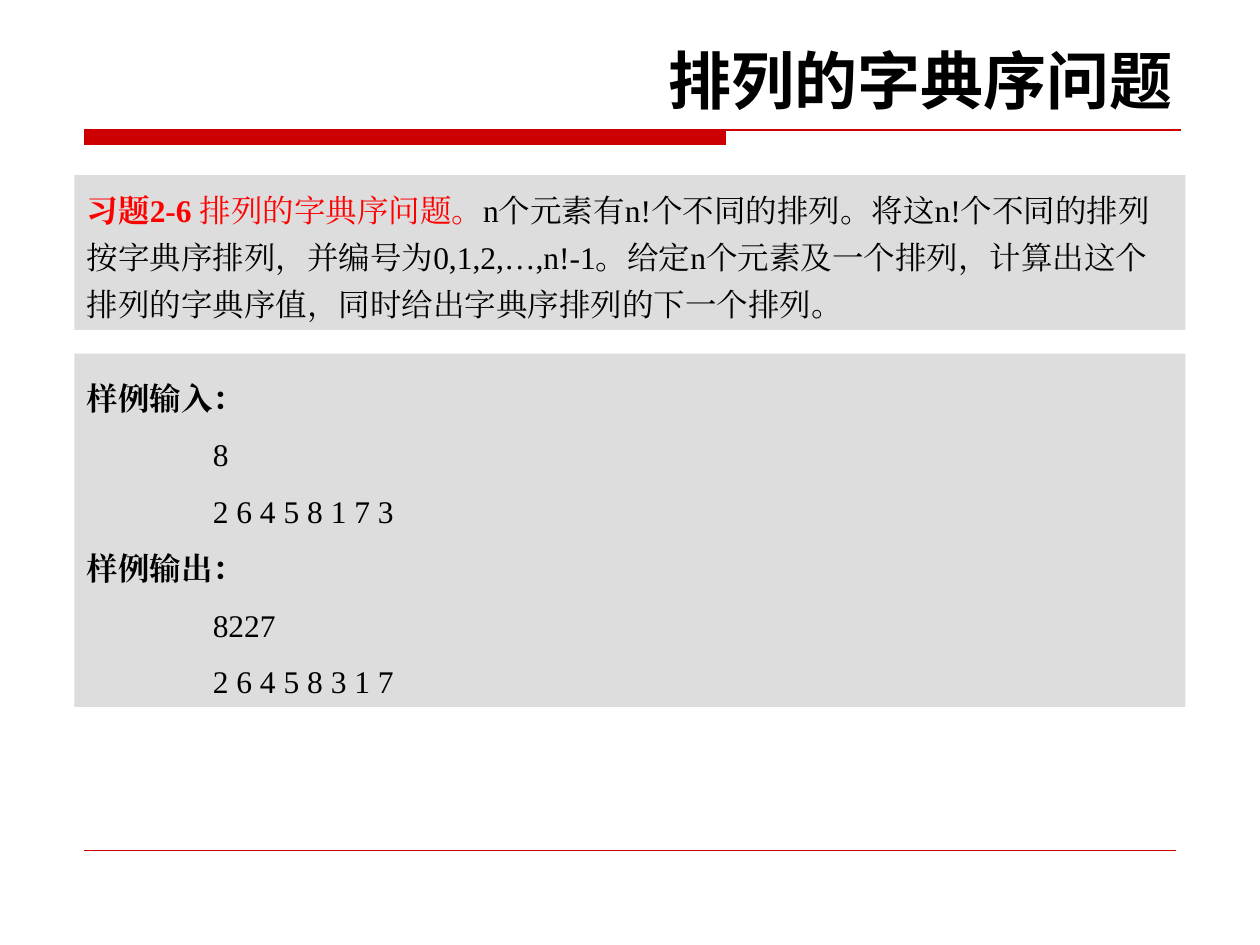
from lxml.etree import SubElement
from pptx import Presentation
from pptx.dml.color import RGBColor
from pptx.enum.shapes import MSO_CONNECTOR, MSO_SHAPE
from pptx.enum.text import MSO_ANCHOR, PP_ALIGN
from pptx.oxml.ns import qn
from pptx.util import Cm, Pt

# Content: each paragraph is a list of (text, bold, colour) runs
BLACK, RED, RULE, PANEL = "000000", "FF0000", "CC0000", "DDDDDD"
TITLE = "排列的字典序问题"
PROBLEM = [[
    ("习题2-6 ", True, RED),
    ("排列的字典序问题。", False, RED),
    ("n个元素有n!个不同的排列。将这n!个不同的排列按字典序排列，"
     "并编号为0,1,2,…,n!-1。给定n个元素及一个排列，"
     "计算出这个排列的字典序值，同时给出字典序排列的下一个排列。", False, BLACK),
]]
SAMPLES = [
    ("样例输入：", ["8", "2 6 4 5 8 1 7 3"]),
    ("样例输出：", ["8227", "2 6 4 5 8 3 1 7"]),
]
BODY_FONT, TITLE_FONT = "Times New Roman", "DejaVu Sans"
TAB = Cm(2.54)

# Layout in cm
PANEL_LEFT, PANEL_WIDTH = 1.5, 22.4
RULE_LEFT, RULE_TOP, RULE_RIGHT = 1.7, 2.62, 23.8
BAR_RIGHT, BAR_BOTTOM = 14.63, 2.92
FOOTER_TOP, FOOTER_RIGHT = 17.15, 23.7


def rgb(colour):
    return RGBColor.from_string(colour)


def add_run(paragraph, text, bold, colour, size, typeface):
    run = paragraph.add_run()
    run.text = text
    font = run.font
    font.size, font.bold, font.name = Pt(size), bold, typeface
    font.color.rgb = rgb(colour)
    SubElement(font._element, qn("a:ea"), typeface=typeface)


def add_panel(slide, top, height, paragraphs, spacing):
    panel = slide.shapes.add_shape(
        MSO_SHAPE.RECTANGLE, Cm(PANEL_LEFT), Cm(top), Cm(PANEL_WIDTH), Cm(height))
    panel.shadow.inherit = False
    panel.fill.solid()
    panel.fill.fore_color.rgb = rgb(PANEL)
    panel.line.fill.background()
    frame = panel.text_frame
    frame.word_wrap = True
    frame.vertical_anchor = MSO_ANCHOR.TOP
    for index, runs in enumerate(paragraphs):
        paragraph = frame.add_paragraph() if index else frame.paragraphs[0]
        paragraph.alignment = PP_ALIGN.LEFT
        paragraph.line_spacing = spacing
        tabs = SubElement(paragraph._p.get_or_add_pPr(), qn("a:tabLst"))
        SubElement(tabs, qn("a:tab"), pos=str(TAB), algn="l")
        for text, bold, colour in runs:
            add_run(paragraph, text, bold, colour, 18, BODY_FONT)


def main():
    prs = Presentation()
    prs.slide_width, prs.slide_height = Cm(25.4), Cm(19.05)
    slide = prs.slides.add_slide(prs.slide_layouts[5])

    # Header rule: a thick bar with a thin line running on
    builder = slide.shapes.build_freeform(Cm(RULE_LEFT), Cm(RULE_TOP))
    builder.add_line_segments([
        (Cm(BAR_RIGHT), Cm(RULE_TOP)), (Cm(BAR_RIGHT), Cm(BAR_BOTTOM)),
        (Cm(RULE_LEFT), Cm(BAR_BOTTOM))], close=True)
    builder.move_to(Cm(RULE_LEFT), Cm(RULE_TOP))
    builder.add_line_segments([(Cm(RULE_RIGHT), Cm(RULE_TOP))], close=False)
    header = builder.convert_to_shape()
    header.shadow.inherit = False
    header.fill.solid()
    header.fill.fore_color.rgb = rgb(RULE)
    header.line.color.rgb = rgb(RULE)
    header.line.width = Pt(0.75)

    # Title
    title = slide.shapes.title
    title.left, title.top, title.width, title.height = Cm(1.3), Cm(0.7), Cm(22.6), Cm(1.8)
    title.text_frame.vertical_anchor = MSO_ANCHOR.MIDDLE
    heading = title.text_frame.paragraphs[0]
    heading.alignment = PP_ALIGN.RIGHT
    add_run(heading, TITLE, True, BLACK, 36, TITLE_FONT)

    # Footer line
    footer = slide.shapes.add_connector(
        MSO_CONNECTOR.STRAIGHT, Cm(RULE_LEFT), Cm(FOOTER_TOP),
        Cm(FOOTER_RIGHT), Cm(FOOTER_TOP))
    footer.line.color.rgb = rgb(RULE)
    footer.line.width = Pt(0.25)
    SubElement(footer._element.spPr, qn("a:effectLst"))

    # Problem statement and samples
    add_panel(slide, 3.53, 3.12, PROBLEM, 1.25)
    samples = []
    for label, values in SAMPLES:
        samples.append([(label, True, BLACK)])
        samples += [[("\t" + value, False, BLACK)] for value in values]
    add_panel(slide, 7.13, 7.12, samples, 1.5)

    prs.save("out.pptx")


if __name__ == "__main__":
    main()
